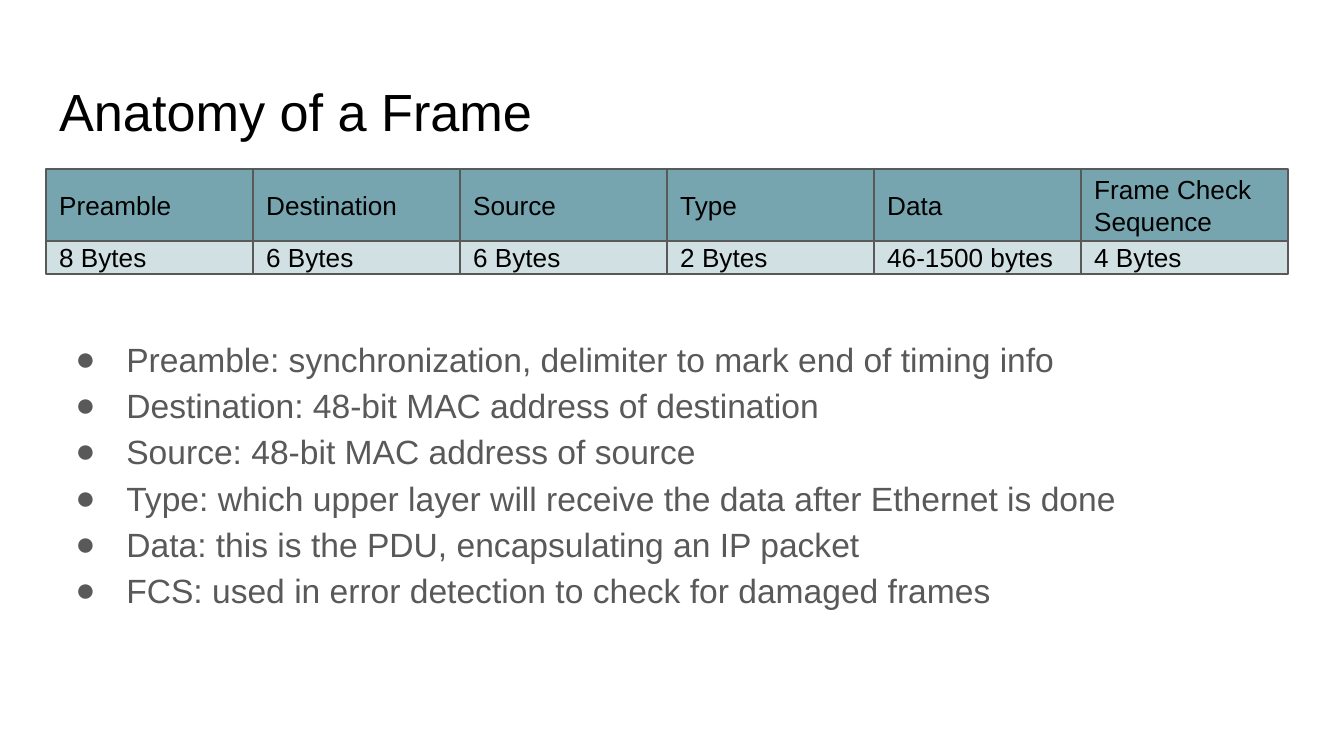
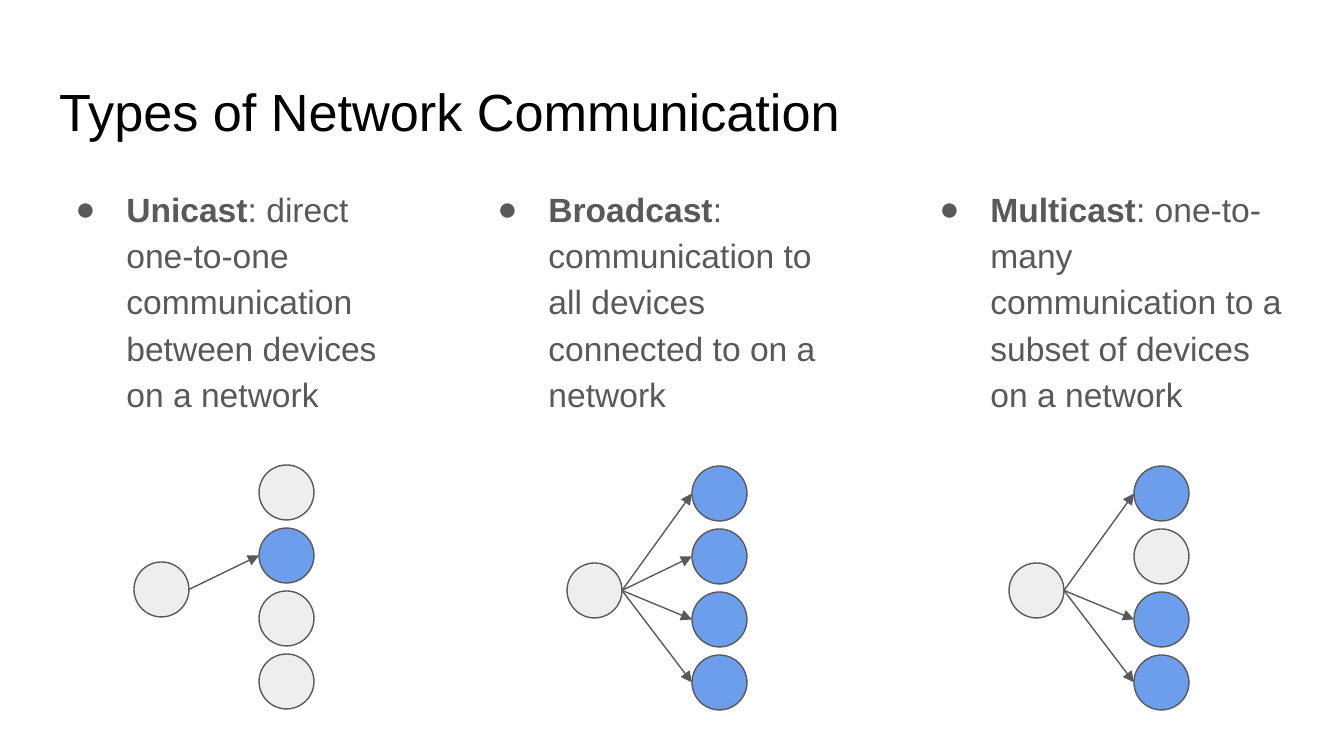
from dataclasses import dataclass

from lxml.etree import SubElement
from pptx import Presentation
from pptx.dml.color import RGBColor
from pptx.enum.shapes import MSO_CONNECTOR, MSO_SHAPE
from pptx.enum.text import MSO_ANCHOR, PP_ALIGN
from pptx.oxml.ns import qn
from pptx.util import Inches, Pt

PIXELS_PER_INCH = 134.4


@dataclass(frozen=True)
class Theme:
    font: str = "Arial"
    title_size: int = 28
    body_size: int = 18
    cell_size: int = 14
    line_width: float = 0.75
    black: str = "000000"
    grey: str = "595959"
    header_fill: str = "76A5AF"
    value_fill: str = "D0E0E3"
    idle_fill: str = "EEEEEE"
    active_fill: str = "6D9EEB"


THEME = Theme()
TITLE_BOX = (46, 66, 1253, 85)


def px(*lengths):
    return [Inches(length / PIXELS_PER_INCH) for length in lengths]


def style_font(paragraph, size, color):
    paragraph.font.name = THEME.font
    paragraph.font.size = Pt(size)
    paragraph.font.color.rgb = RGBColor.from_string(color)


def style_line(line):
    line.color.rgb = RGBColor.from_string(THEME.grey)
    line.width = Pt(THEME.line_width)


def set_insets(frame):
    frame.word_wrap = True
    frame.margin_left = frame.margin_right = Inches(0.1)
    frame.margin_top = frame.margin_bottom = Inches(0.1)


def add_outlined(shapes, kind, box, fill):
    shape = shapes.add_shape(kind, *px(*box))
    shape.shadow.inherit = False
    shape.fill.solid()
    shape.fill.fore_color.rgb = RGBColor.from_string(fill)
    style_line(shape.line)
    return shape


def add_text_frame(slide, box):
    frame = slide.shapes.add_textbox(*px(*box)).text_frame
    set_insets(frame)
    return frame


def add_titled_slide(presentation, title):
    slide = presentation.slides.add_slide(presentation.slide_layouts[6])
    paragraph = add_text_frame(slide, TITLE_BOX).paragraphs[0]
    paragraph.text = title
    style_font(paragraph, THEME.title_size, THEME.black)
    return slide


def add_bullets(slide, box, items):
    """Each item is a pair: a bold lead (may be empty) and plain text."""
    frame = add_text_frame(slide, box)
    for index, (lead, text) in enumerate(items):
        paragraph = frame.add_paragraph() if index else frame.paragraphs[0]
        paragraph.line_spacing = 1.15
        properties = paragraph._p.get_or_add_pPr()
        properties.set("marL", str(Inches(0.5)))
        properties.set("indent", str(-Inches(0.38)))
        color = SubElement(properties, qn("a:buClr"))
        SubElement(color, qn("a:srgbClr"), val=THEME.grey)
        SubElement(properties, qn("a:buFont"), typeface=THEME.font)
        SubElement(properties, qn("a:buChar"), char="●")
        style_font(paragraph, THEME.body_size, THEME.grey)
        if lead:
            run = paragraph.add_run()
            run.text = lead
            run.font.bold = True
        paragraph.add_run().text = text


def add_frame_diagram(slide, box, fields, header_height):
    """Two rows of touching cells: field names over field lengths."""
    left, top, width, height = box
    cell_width = width // len(fields)
    shapes = slide.shapes.add_group_shape().shapes
    rows = [
        (top, header_height, THEME.header_fill),
        (top + header_height, height - header_height, THEME.value_fill),
    ]
    for row, (row_top, row_height, fill) in enumerate(rows):
        for column, field in enumerate(fields):
            cell_box = (left + column * cell_width, row_top, cell_width, row_height)
            cell = add_outlined(shapes, MSO_SHAPE.RECTANGLE, cell_box, fill)
            frame = cell.text_frame
            set_insets(frame)
            frame.vertical_anchor = MSO_ANCHOR.MIDDLE
            paragraph = frame.paragraphs[0]
            paragraph.text = field[row]
            paragraph.alignment = PP_ALIGN.LEFT
            style_font(paragraph, THEME.cell_size, THEME.black)


def add_arrow(slide, start, end):
    arrow = slide.shapes.add_connector(MSO_CONNECTOR.STRAIGHT, *px(*start, *end))
    style_line(arrow.line)
    SubElement(arrow.line._get_or_add_ln(), qn("a:tailEnd"), type="triangle")
    SubElement(arrow._element.spPr, qn("a:effectLst"))


def add_network(slide, left, top, receivers):
    """One sender, a column of receivers, and an arrow to each active one."""
    node, pitch, sender_drop, receiver_shift = 55, 63, 97, 125

    def add_node(x, y, fill):
        add_outlined(slide.shapes, MSO_SHAPE.OVAL, (x, y, node, node), fill)

    sender_top = top + sender_drop
    receiver_left = left + receiver_shift
    add_node(left, sender_top, THEME.idle_fill)
    for index, active in enumerate(receivers):
        y = top + index * pitch
        add_node(receiver_left, y, THEME.active_fill if active else THEME.idle_fill)
        if active:
            add_arrow(slide, (left + node, sender_top + node / 2),
                      (receiver_left, y + node / 2))


def build_frame_slide(presentation):
    slide = add_titled_slide(presentation, "Anatomy of a Frame")
    add_bullets(slide, (46, 319, 1253, 352), [("", text) for text in (
        "Preamble: synchronization, delimiter to mark end of timing info",
        "Destination: 48-bit MAC address of destination",
        "Source: 48-bit MAC address of source",
        "Type: which upper layer will receive the data after Ethernet is done",
        "Data: this is the PDU, encapsulating an IP packet",
        "FCS: used in error detection to check for damaged frames",
    )])
    add_frame_diagram(slide, (46, 169, 1242, 105), [
        ("Preamble", "8 Bytes"),
        ("Destination", "6 Bytes"),
        ("Source", "6 Bytes"),
        ("Type", "2 Bytes"),
        ("Data", "46-1500 bytes"),
        ("Frame Check Sequence", "4 Bytes"),
    ], header_height=72)


def build_communication_slide(presentation):
    slide = add_titled_slide(presentation, "Types of Network Communication")
    # Text left and width, network left and top, active receivers, wording
    columns = [
        (46, 367, 134, 465, (False, True, False, False), "Unicast",
         ": direct one-to-one communication between devices on a network"),
        (468, 388, 567, 466, (True, True, True, True), "Broadcast",
         ": communication to all devices connected to on a network"),
        (910, 388, 1009, 466, (True, False, True, True), "Multicast",
         ": one-to-many communication to a subset of devices on a network"),
    ]
    for left, width, network_left, network_top, receivers, name, meaning in columns:
        add_network(slide, network_left, network_top, receivers)
        add_bullets(slide, (left, 169, width, 304), [(name, meaning)])


presentation = Presentation()
presentation.slide_width, presentation.slide_height = px(1344, 756)
build_frame_slide(presentation)
build_communication_slide(presentation)
presentation.save("out.pptx")
